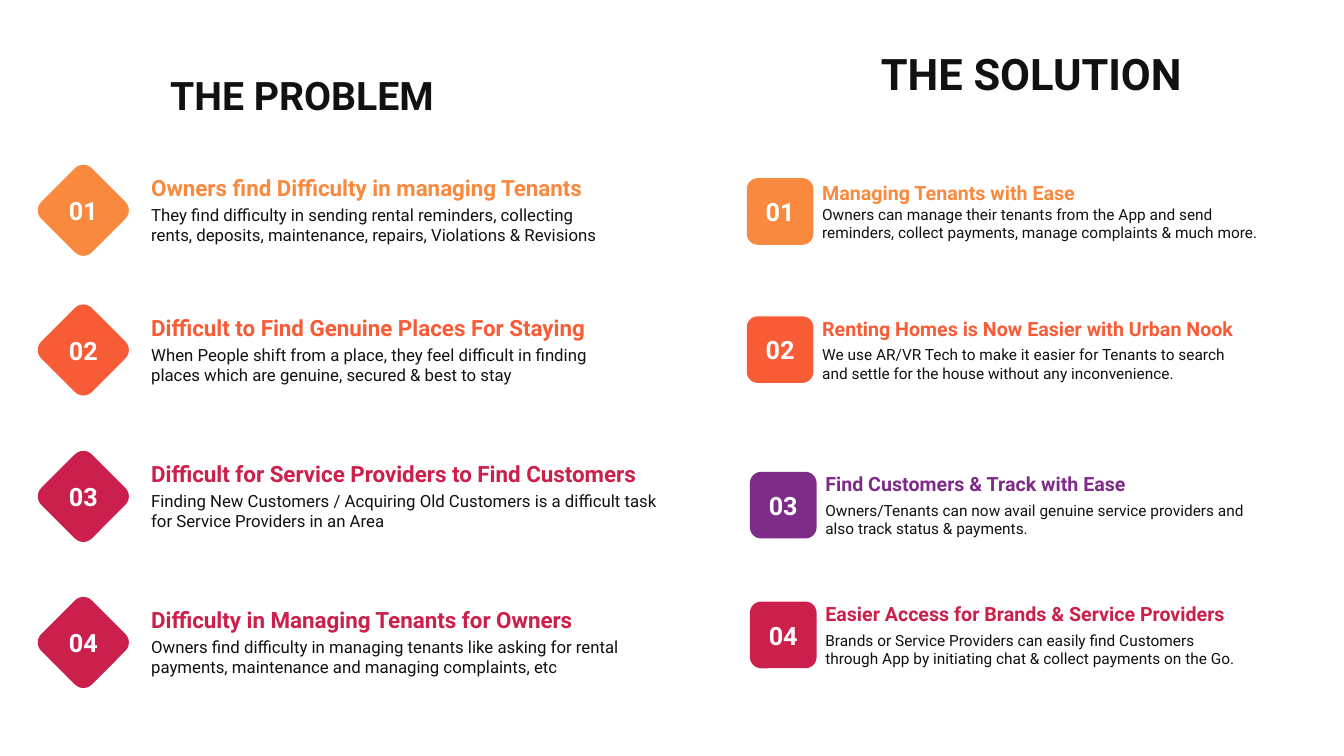
from pptx import Presentation
from pptx.dml.color import RGBColor
from pptx.enum.shapes import MSO_SHAPE as Preset
from pptx.enum.text import MSO_ANCHOR as Anchor, PP_ALIGN as Align
from pptx.util import Cm, Pt

FONT = "Roboto"
INK = RGBColor(0x11, 0x11, 0x11)
WHITE = RGBColor(0xFF, 0xFF, 0xFF)
AMBER = RGBColor(0xF8, 0x89, 0x3E)
ORANGE = RGBColor(0xF8, 0x5C, 0x36)
CRIMSON = RGBColor(0xCA, 0x20, 0x4B)
PURPLE = RGBColor(0x7D, 0x2C, 0x88)

HEADINGS = [
    ("THE PROBLEM", 28, (4.04, 1.68, 8.61, 1.45)),
    ("THE SOLUTION", 31, (21.95, 1.07, 8.31, 2.64)),
]

# middle, text width, colour, title, body
PROBLEMS = [
    (5.3, 12.29, AMBER, "Owners find Difficulty in managing Tenants",
     "They find difficulty in sending rental reminders, collecting rents, "
     "deposits, maintenance, repairs, Violations & Revisions"),
    (8.82, 12.29, ORANGE, "Difficult to Find Genuine Places For Staying",
     "When People shift from a place, they feel difficult in finding places "
     "which are genuine, secured & best to stay"),
    (12.51, 13.64, CRIMSON, "Difficult for Service Providers to Find Customers",
     "Finding New Customers / Acquiring Old Customers is a difficult task "
     "for Service Providers in an Area"),
    (16.19, 13.64, CRIMSON, "Difficulty in Managing Tenants for Owners",
     "Owners find difficulty in managing tenants like asking for rental "
     "payments, maintenance and managing complaints, etc"),
]

# middle, badge left, text width, gap, colour, title, body
SOLUTIONS = [
    (5.33, 18.82, 12.09, 0, AMBER, "Managing Tenants with Ease",
     "Owners can manage their tenants from the App and send reminders, "
     "collect payments, manage complaints & much more."),
    (8.81, 18.82, 11.15, 3.7, ORANGE, "Renting Homes is Now Easier with Urban Nook",
     "We use AR/VR Tech to make it easier for Tenants to search and settle "
     "for the house without any inconvenience."),
    (12.73, 18.9, 11.15, 3.7, PURPLE, "Find Customers & Track with Ease",
     "Owners/Tenants can now avail genuine service providers and also track "
     "status & payments."),
    (16, 18.9, 11.15, 3.7, CRIMSON, "Easier Access for Brands & Service Providers",
     "Brands or Service Providers can easily find Customers through App by "
     "initiating chat & collect payments on the Go."),
]

DIAMOND_CENTRE, DIAMOND_SIZE = 2.1, 1.8
NUMBER_WIDTH, NUMBER_HEIGHT = 1.35, 1.02
PROBLEM_LEFT, PROBLEM_HEIGHT = 3.56, 2.06
BADGE_SIZE, SOLUTION_OFFSET, SOLUTION_HEIGHT = 1.68, 1.65, 1.93


def write(paragraph, text, size, color, bold=True, align=Align.LEFT, gap=0):
    paragraph.alignment = align
    paragraph.space_before = Pt(gap)
    run = paragraph.add_run()
    run.text = text
    run.font.name = FONT
    run.font.size = Pt(size)
    run.font.bold = bold
    run.font.color.rgb = color


def add_text_box(shapes, left, top, width, height, anchor=Anchor.TOP):
    frame = shapes.add_textbox(Cm(left), Cm(top), Cm(width), Cm(height)).text_frame
    frame.word_wrap = True
    frame.vertical_anchor = anchor
    return frame


def add_tile(shapes, left, middle, size, color):
    tile = shapes.add_shape(Preset.ROUNDED_RECTANGLE, Cm(left),
                            Cm(middle - size / 2), Cm(size), Cm(size))
    tile.shadow.inherit = False
    tile.fill.solid()
    tile.fill.fore_color.rgb = color
    tile.line.fill.background()
    return tile


def write_number(frame, number):
    frame.vertical_anchor = Anchor.MIDDLE
    write(frame.paragraphs[0], f"{number:02d}", 18, WHITE, align=Align.CENTER)


def write_item(frame, title, body, color, title_size, body_size, gap):
    write(frame.paragraphs[0], title, title_size, color)
    write(frame.add_paragraph(), body, body_size, INK, bold=False, gap=gap)


def add_problem(shapes, number, middle, width, color, title, body):
    diamond = add_tile(shapes, DIAMOND_CENTRE - DIAMOND_SIZE / 2, middle,
                       DIAMOND_SIZE, color)
    diamond.rotation = 45
    write_number(add_text_box(shapes, DIAMOND_CENTRE - NUMBER_WIDTH / 2,
                              middle - NUMBER_HEIGHT / 2,
                              NUMBER_WIDTH, NUMBER_HEIGHT), number)
    frame = add_text_box(shapes, PROBLEM_LEFT, middle - PROBLEM_HEIGHT / 2,
                         width, PROBLEM_HEIGHT)
    write_item(frame, title, body, color, 16, 12, 2.5)


def add_solution(shapes, number, middle, left, width, gap, color, title, body):
    badge = add_tile(shapes, left, middle, BADGE_SIZE, color)
    write_number(badge.text_frame, number)
    frame = add_text_box(shapes, left + SOLUTION_OFFSET,
                         middle - SOLUTION_HEIGHT / 2,
                         width, SOLUTION_HEIGHT, Anchor.MIDDLE)
    write_item(frame, title, body, color, 14, 11, gap)


def main():
    presentation = Presentation()
    presentation.slide_width, presentation.slide_height = Cm(33.87), Cm(19.05)
    slide = presentation.slides.add_slide(presentation.slide_layouts[6])
    for text, size, place in HEADINGS:
        write(add_text_box(slide.shapes, *place).paragraphs[0], text, size, INK)
    for add_item, items in ((add_problem, PROBLEMS), (add_solution, SOLUTIONS)):
        for number, item in enumerate(items, 1):
            add_item(slide.shapes.add_group_shape().shapes, number, *item)
    presentation.save("out.pptx")


if __name__ == "__main__":
    main()
